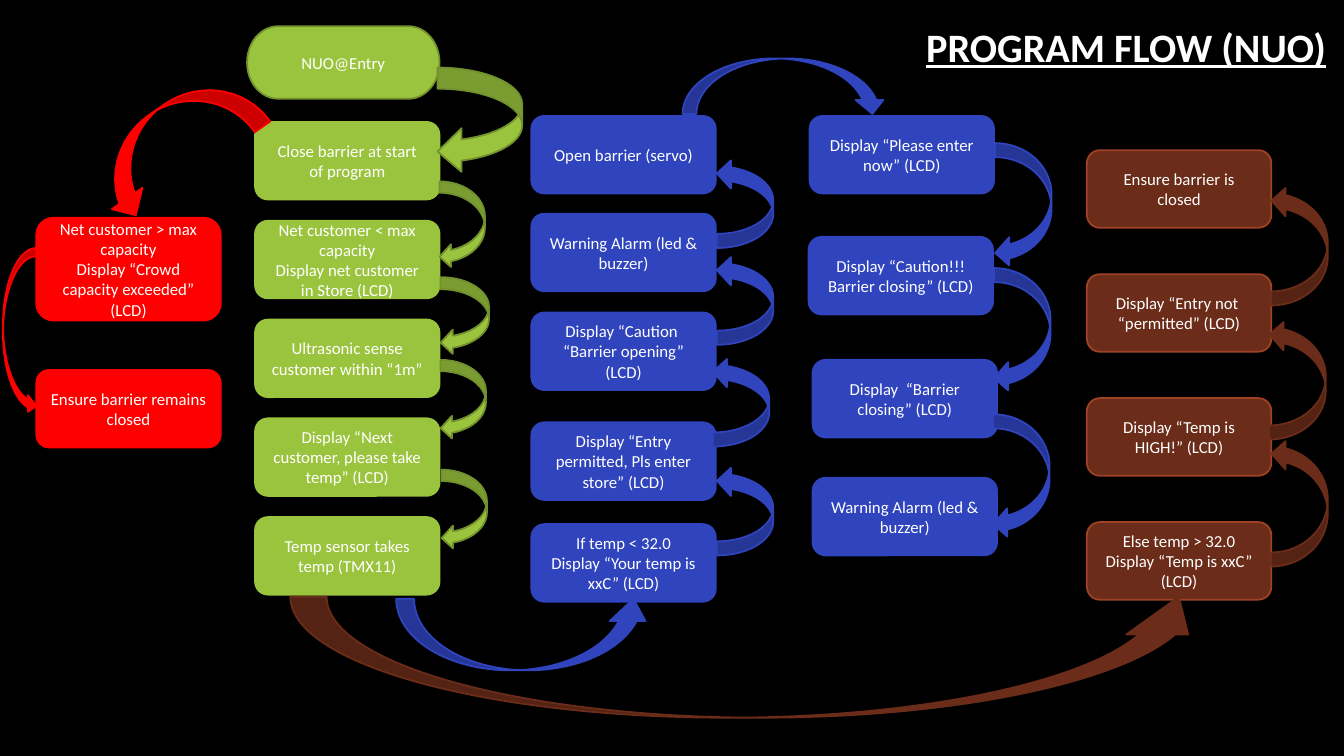
from pptx import Presentation
from pptx.dml.color import RGBColor
from pptx.enum.shapes import MSO_SHAPE
from pptx.enum.text import MSO_ANCHOR, MSO_AUTO_SIZE, PP_ALIGN
from pptx.util import Inches, Pt

ROUNDED = MSO_SHAPE.ROUNDED_RECTANGLE
TERMINATOR = MSO_SHAPE.FLOWCHART_TERMINATOR
LEFT_ARROW = MSO_SHAPE.CURVED_LEFT_ARROW
RIGHT_ARROW = MSO_SHAPE.CURVED_RIGHT_ARROW
UP_ARROW = MSO_SHAPE.CURVED_UP_ARROW
DOWN_ARROW = MSO_SHAPE.CURVED_DOWN_ARROW
MIDDLE = MSO_ANCHOR.MIDDLE
CENTER = PP_ALIGN.CENTER
NO_FIT = MSO_AUTO_SIZE.NONE

GREEN, BLUE, BROWN, RED = "9AC43E", "2F44BD", "6B2C19", "FF0000"
DARK_GREEN, RUST = "72912E", "A14225"
WHITE, BLACK = "FFFFFF", "000000"

STEP_WIDTH, STEP_HEIGHT = 1.83, 0.77
BODY_FONT = {"name": "Calibri", "size": Pt(12)}
TITLE_FONT = {"name": "Calibri", "size": Pt(28.8), "bold": True, "underline": True}

# Each lane: left and top of its first step, steps as (offset down, text),
# and loop arrows as (offset from right edge, offset down, width, height).
LANES = [
    {"corner": (2.53, 1.21), "colour": GREEN, "edge": GREEN,
     "steps": [(0.98 * row, text) for row, text in enumerate([
         "Close barrier at start of program",
         "Net customer < max capacity\nDisplay net customer in Store (LCD)",
         "Ultrasonic sense customer within “1m”",
         "Display “Next customer, please take temp” (LCD)",
         "Temp sensor takes temp (TMX11)"])],
     "arrow": LEFT_ARROW, "arrow_edge": DARK_GREEN,
     "loops": [(0, 0.59, 0.45, 0.86), (0.01, 1.54, 0.48, 0.77),
               (0.01, 2.36, 0.45, 0.79), (0.02, 3.45, 0.45, 0.79)]},
    {"corner": (5.27, 1.15), "colour": BLUE, "edge": BLUE,
     "steps": [(0, "Open barrier (servo)"),
               (0.97, "Warning Alarm (led & buzzer)"),
               (1.95, "Display “Caution  “Barrier opening” (LCD)"),
               (3.04, "Display “Entry permitted, Pls enter store” (LCD)"),
               (4.05, "If temp < 32.0\nDisplay “Your temp is xxC” (LCD)")],
     "arrow": UP_ARROW, "turn": 270,
     "loops": [(0.01, 0.43, 0.56, 0.88), (0.01, 1.39, 0.56, 0.88),
               (-0.03, 2.4, 0.56, 0.88), (0.01, 3.48, 0.56, 0.88)]},
    {"corner": (8.03, 1.15), "colour": BLUE, "edge": BLUE,
     "steps": [(0, "Display “Please enter now” (LCD)"),
               (1.2, "Display “Caution!!! Barrier closing” (LCD)", -0.01),
               (2.42, "Display  “Barrier closing” (LCD)", 0.03),
               (3.59, "Warning Alarm (led & buzzer)", 0.03)],
     "arrow": LEFT_ARROW,
     "loops": [(0.01, 0.27, 0.56, 1.23), (0, 1.51, 0.56, 1.23),
               (-0.01, 2.96, 0.56, 1.23)]},
    {"corner": (10.78, 1.49), "colour": BROWN, "edge": RUST,
     "steps": [(1.23 * row, text) for row, text in enumerate([
         "Ensure barrier is closed",
         "Display “Entry not  “permitted” (LCD)",
         "Display “Temp is HIGH!” (LCD)",
         "Else temp > 32.0\nDisplay “Temp is xxC” (LCD)"])],
     "arrow": UP_ARROW, "turn": 270,
     "loops": [(0, 0.36, 0.56, 1.18), (-0.02, 1.69, 0.56, 1.18),
               (0, 2.87, 0.56, 1.26)]},
    {"corner": (0.36, 2.16), "colour": RED, "edge": RED,
     "steps": [(0, "Net customer > max capacity\nDisplay “Crowd capacity exceeded” (LCD)",
                0, 1.02),
               (1.51, "Ensure barrier remains closed")],
     "arrow": RIGHT_ARROW, "loops": [(-2.16, 0.3, 0.33, 1.65)]},
]


def rgb(colour):
    return RGBColor.from_string(colour)


def set_format(target, values):
    for name, value in values.items():
        setattr(target, name, value)


def write(shape, text, font):
    """Fill a shape with centred white text, one paragraph per line."""
    frame = shape.text_frame
    set_format(frame, {"text": text, "word_wrap": True, "auto_size": NO_FIT,
                       "vertical_anchor": MIDDLE})
    for para in frame.paragraphs:
        para.alignment = CENTER
        for span in para.runs:
            set_format(span.font, font)
            span.font.color.rgb = rgb(WHITE)


def add_block(page, kind, box, colour, edge):
    shape = page.shapes.add_shape(kind, *map(Inches, box))
    shape.shadow.inherit = False
    shape.fill.solid()
    shape.fill.fore_color.rgb = rgb(colour)
    shape.line.color.rgb = rgb(edge)
    shape.line.width = Pt(1.25)
    return shape


def add_arrow(page, kind, box, colour, edge=None, turn=0, bend=()):
    """Place a curved arrow so that it covers the box after a quarter turn."""
    left, top, width, height = box
    if turn == 270:
        shift = (width - height) / 2
        box = left + shift, top - shift, height, width
    arrow = add_block(page, kind, box, colour, edge or colour)
    arrow.rotation = turn
    for index, value in enumerate(bend):
        arrow.adjustments[index] = value
    return arrow


def add_title(page, box):
    title = page.shapes.title
    set_format(title, dict(zip(("left", "top", "width", "height"), map(Inches, box))))
    write(title, "PROGRAM FLOW (NUO)", TITLE_FONT)
    title.text_frame.paragraphs[0].line_spacing = 0.9


def add_step(page, lane, down, text, shift=0, height=STEP_HEIGHT):
    left, top = lane["corner"]
    box = left + shift, top + down, STEP_WIDTH, height
    write(add_block(page, ROUNDED, box, lane["colour"], lane["edge"]), text, BODY_FONT)


def add_lane(page, lane):
    for step in lane["steps"]:
        add_step(page, lane, *step)
    left, top = lane["corner"]
    for across, down, width, height in lane["loops"]:
        box = left + STEP_WIDTH + across, top + down, width, height
        add_arrow(page, lane["arrow"], box, lane["colour"],
                  lane.get("arrow_edge"), lane.get("turn", 0))


def add_start(page, box):
    """Start terminator and the arrow into the first step."""
    left, top, width, height = box
    write(add_block(page, TERMINATOR, box, GREEN, DARK_GREEN), "NUO@Entry", BODY_FONT)
    add_arrow(page, LEFT_ARROW, (left + width - 0.02, top + 0.41, 0.84, 1.05),
              GREEN, DARK_GREEN, bend=(0.25, 0.516, 0.283))


def add_lane_links(page):
    """Arrows that lead from one lane to another."""
    add_arrow(page, RIGHT_ARROW, (3.93, 5.94, 2.53, 0.71), BLUE, turn=270,
              bend=(0.25, 0.5, 0.312))
    add_arrow(page, RIGHT_ARROW, (2.88, 5.92, 9.12, 1.2), BROWN, turn=270,
              bend=(0.3, 0.512, 0.312))
    add_arrow(page, DOWN_ARROW, (6.77, 0.58, 2.02, 0.55), BLUE)
    crowd = add_arrow(page, DOWN_ARROW, (0.82, 1.05, 1.81, 0.74), RED, turn=145.1)
    crowd._element.spPr.xfrm.set("flipV", "1")


def main():
    deck = Presentation()
    deck.slide_width, deck.slide_height = Inches(13.33), Inches(7.5)
    page = deck.slides.add_slide(deck.slide_layouts[5])
    page.background.fill.solid()
    page.background.fill.fore_color.rgb = rgb(BLACK)
    add_title(page, (9.01, 0.19, 4.32, 0.6))
    for lane in LANES:
        add_lane(page, lane)
    add_lane_links(page)
    add_start(page, (2.45, 0.26, 1.91, 0.72))
    deck.save("out.pptx")


if __name__ == "__main__":
    main()
